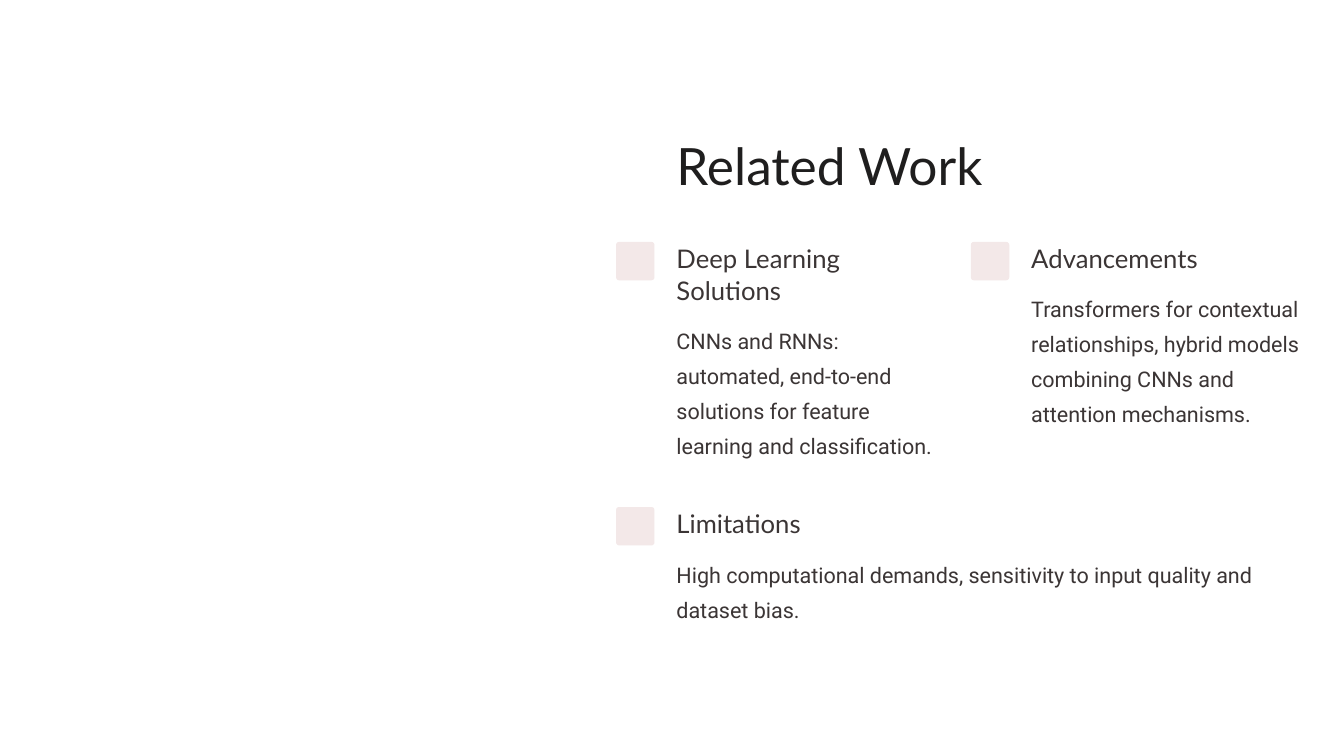
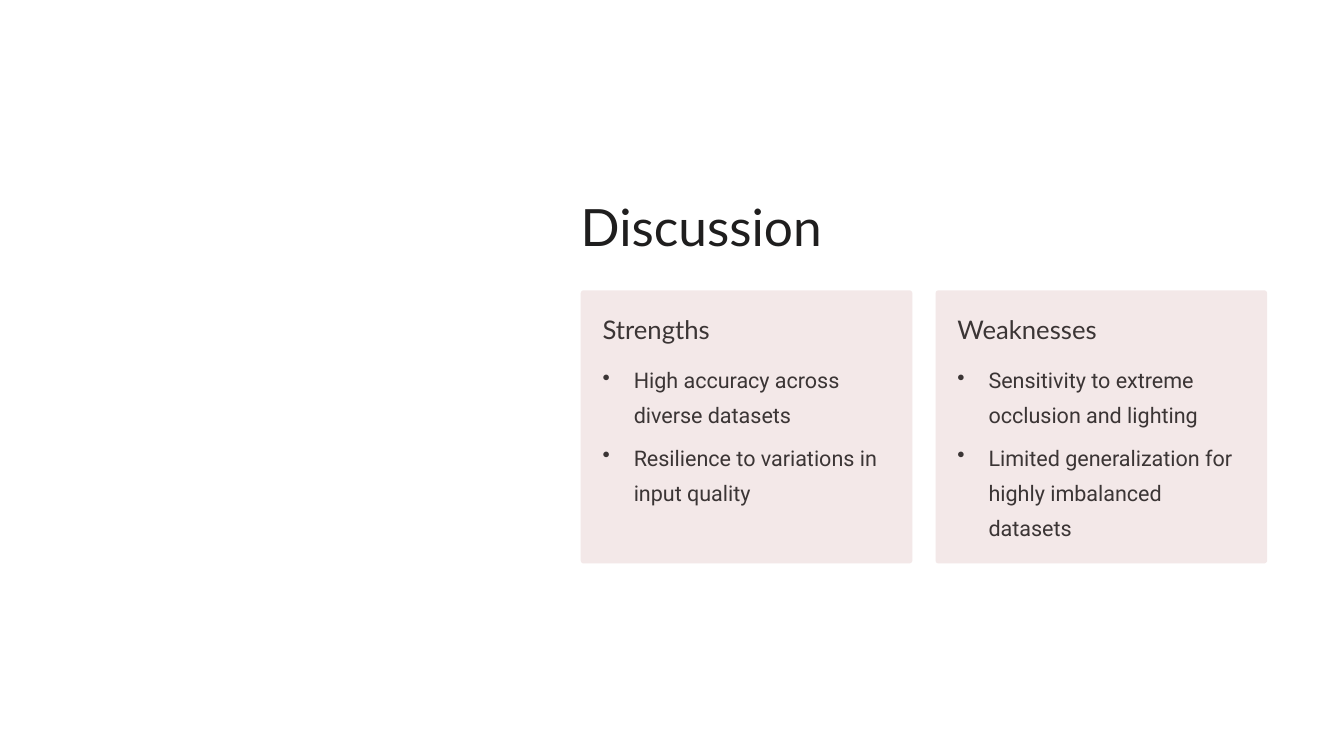
from dataclasses import dataclass

from lxml.etree import SubElement
from pptx import Presentation
from pptx.dml.color import RGBColor
from pptx.enum.shapes import MSO_SHAPE as Preset
from pptx.oxml.ns import qn
from pptx.util import Inches, Pt


@dataclass(frozen=True)
class TextStyle:
    font: str
    size: float
    leading: float
    color: RGBColor


@dataclass(frozen=True)
class Theme:
    title: TextStyle = TextStyle("Lato", 36.7, 45.8, RGBColor.from_string("1F1E1E"))
    heading: TextStyle = TextStyle("Lato", 18.3, 22.9, RGBColor.from_string("3B3535"))
    body: TextStyle = TextStyle("Roboto", 15.4, 25, RGBColor.from_string("3B3535"))
    panel: RGBColor = RGBColor.from_string("F3E8E8")
    bullet_indent: int = Inches(0.31)
    bullet_gap: float = 5.4
    corner: int = Inches(0.03)


theme = Theme()
deck = Presentation()
deck.slide_width, deck.slide_height = Inches(13.33), Inches(7.5)
column, row = deck.slide_width / 100, deck.slide_height / 100
heading_line, body_line, heading_gap = 4.24, 4.63, 1.76
column_step = 26.4


def add_text(page, left, top, width, height, lines, style, bullets=False):
    box = page.shapes.add_textbox(
        int(left * column), int(top * row), int(width * column), int(height * row))
    frame = box.text_frame
    frame.word_wrap = True
    frame.margin_left = frame.margin_right = frame.margin_top = frame.margin_bottom = 0
    for index, line in enumerate(lines):
        para = frame.paragraphs[0] if index == 0 else frame.add_paragraph()
        para.text = line
        if bullets:
            properties = para._p.get_or_add_pPr()
            properties.set("marL", str(theme.bullet_indent))
            properties.set("indent", str(-theme.bullet_indent))
            SubElement(properties, qn("a:buChar")).set("char", "•")
        if index > 0:
            para.space_before = Pt(theme.bullet_gap)
        para.line_spacing = Pt(style.leading)
        para.font.name = style.font
        para.font.size = Pt(style.size)
        para.font.color.rgb = style.color


def add_panel(page, left, top, width, height):
    panel = page.shapes.add_shape(
        Preset.ROUNDED_RECTANGLE,
        int(left * column), int(top * row), int(width * column), int(height * row))
    panel.adjustments[0] = theme.corner / min(panel.width, panel.height)
    panel.shadow.inherit = False
    panel.fill.solid()
    panel.fill.fore_color.rgb = theme.panel
    panel.line.fill.background()


blank = deck.slide_layouts[6]

related = deck.slides.add_slide(blank)
marker_left, marker_width, marker_height, text_offset = 45.84, 2.86, 5.08, 4.49
add_text(related, marker_left + text_offset, 17.47, 39.23, 9.33, ["Related Work"], theme.title)
topics = [
    (0, 32, "Deep Learning Solutions", 2, 20.18, 4,
     "CNNs and RNNs: automated, end-to-end solutions for feature learning and classification."),
    (1, 32, "Advancements", 1, 20.18, 4,
     "Transformers for contextual relationships, hybrid models combining CNNs and attention mechanisms."),
    (0, 67.07, "Limitations", 1, 46.59, 2,
     "High computational demands, sensitivity to input quality and dataset bias."),
]
for place, top, heading, heading_lines, width, body_lines, body in topics:
    left = marker_left + place * column_step
    add_panel(related, left, top, marker_width, marker_height)
    heading_height = heading_lines * heading_line
    add_text(related, left + text_offset, top, width, heading_height, [heading], theme.heading)
    add_text(related, left + text_offset, top + heading_height + heading_gap,
             width, body_lines * body_line, [body], theme.body)

discussion = deck.slides.add_slide(blank)
card_left, card_top, card_width, card_height = 43.21, 38.4, 24.68, 36.13
pad_x, pad_y = 1.62, 2.93
add_text(discussion, card_left, 25.47, 38.48, 8.53, ["Discussion"], theme.title)
cards = [
    ("Strengths", ["High accuracy across diverse datasets",
                   "Resilience to variations in input quality"]),
    ("Weaknesses", ["Sensitivity to extreme occlusion and lighting",
                    "Limited generalization for highly imbalanced datasets"]),
]
for place, (heading, points) in enumerate(cards):
    left = card_left + place * column_step
    add_panel(discussion, left, card_top, card_width, card_height)
    text_left, text_top = left + pad_x, card_top + pad_y
    text_width = card_width - 2 * pad_x
    body_top = text_top + heading_line + heading_gap
    add_text(discussion, text_left, text_top, text_width, heading_line, [heading], theme.heading)
    add_text(discussion, text_left, body_top, text_width,
             card_top + card_height - pad_y - body_top, points, theme.body, bullets=True)

deck.save("out.pptx")
